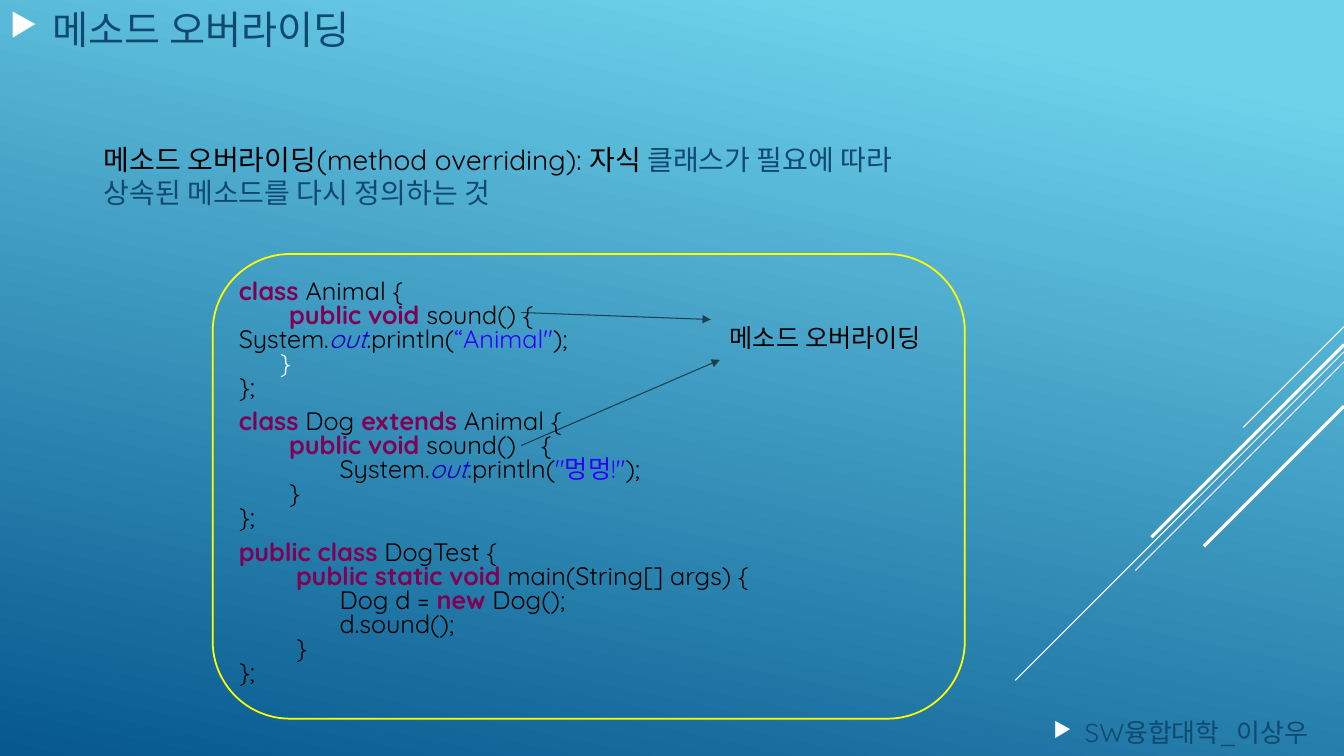
from lxml.etree import SubElement
from pptx import Presentation
from pptx.dml.color import RGBColor
from pptx.enum.shapes import MSO_CONNECTOR as Connector, MSO_SHAPE as Shape
from pptx.enum.text import MSO_ANCHOR as Anchor
from pptx.oxml.ns import qn
from pptx.util import Inches, Pt

COLORS = {
    "white": "FFFFFF", "black": "000000", "navy": "0F496F", "yellow": "FFFF00",
    "keyword": "7F0055", "field": "0000C0", "string": "2A00FF",
    "sky": "6ED2EB", "deep": "06588E",
}
BOLD, ITALIC = {"keyword"}, {"field"}
FONT = "Quicksand"


def rgb(name):
    return RGBColor.from_string(COLORS[name])


def add_xml(parent, tag, **attributes):
    return SubElement(parent, qn(tag), attributes)


class SlideBuilder:
    def __init__(self, slide):
        self.slide = slide

    def background(self, start, end, angle):
        fill = self.slide.background.fill
        fill.gradient()
        fill.gradient_angle = 360 - angle
        for stop, color, position in zip(fill.gradient_stops, (start, end), (0.1, 1)):
            stop.color.rgb = rgb(color)
            stop.position = position

    def text(self, box, paragraphs, size=18, anchor=Anchor.TOP, indent=0,
             bullet=False, tab=None, spacing=None, bottom=0.05):
        """Each paragraph is a list of (words, color) runs."""
        frame = self.slide.shapes.add_textbox(*map(Inches, box)).text_frame
        frame.word_wrap = True
        frame.vertical_anchor = anchor
        frame.margin_bottom = Inches(bottom)
        for index, runs in enumerate(paragraphs):
            paragraph = frame.paragraphs[0] if index == 0 else frame.add_paragraph()
            props = paragraph._p.get_or_add_pPr()
            props.set("marL", str(Inches(indent)))
            props.set("indent", str(-Inches(indent) if bullet else 0))
            if bullet:
                add_xml(add_xml(props, "a:buClr"), "a:srgbClr", val=COLORS["white"])
                add_xml(props, "a:buSzPct", val="80000")
                add_xml(props, "a:buChar", char="▶")
            if tab:
                add_xml(add_xml(props, "a:tabLst"), "a:tab", pos=str(Inches(tab)), algn="l")
            if spacing:
                paragraph.line_spacing = Pt(spacing)
            for words, color in runs:
                run = paragraph.add_run()
                run.text = words
                font = run.font
                font.name, font.size, font.color.rgb = FONT, Pt(size), rgb(color)
                font.bold, font.italic = color in BOLD, color in ITALIC

    def code(self, top, height, lines):
        self.text((1.99, top, 6.67, height), lines, indent=0.28, tab=0.28, spacing=17)

    def line(self, start, end, color, width, alpha=None, arrow=False):
        connector = self.slide.shapes.add_connector(
            Connector.STRAIGHT, *map(Inches, (*start, *end)))
        connector.line.color.rgb = rgb(color)
        connector.line.width = Pt(width)
        outline = connector.line._ln
        if alpha:
            add_xml(outline.find(".//" + qn("a:srgbClr")), "a:alpha", val=str(alpha * 1000))
        if arrow:
            add_xml(outline, "a:tailEnd", type="triangle")
        add_xml(connector._element.spPr, "a:effectLst")

    def frame(self, box, color, width):
        outline = self.slide.shapes.add_shape(Shape.ROUNDED_RECTANGLE, *map(Inches, box))
        outline.shadow.inherit = False
        outline.fill.background()
        outline.line.color.rgb = rgb(color)
        outline.line.width = Pt(width)


ANIMAL = [
    [("class ", "keyword"), ("Animal {", "black")],
    [("\t", "black"), ("public void ", "keyword"), ("sound() {", "black")],
    [("System.", "black"), ("out", "field"), (".println(", "black"),
     ("“Animal\"", "string"), (");", "black")],
    [("      }", "white")],
    [("};", "black")],
]
DOG = [
    [("class", "keyword"), (" Dog ", "black"), ("extends", "keyword"), (" Animal {", "black")],
    [("\t", "black"), ("public void", "keyword"), (" sound()\t{", "black")],
    [("\t\tSystem.", "black"), ("out", "field"), (".println(", "black"),
     ("\"멍멍!\"", "string"), (");", "black")],
    [("\t}", "black")],
    [("};", "black")],
]
DOG_TEST = [
    [("public class", "keyword"), (" DogTest {", "black")],
    [("\t ", "white"), ("public static void ", "keyword"), ("main(String[] args) {", "black")],
    [("\t\tDog d = ", "black"), ("new", "keyword"), (" Dog();", "black")],
    [("\t \td.sound();", "black")],
    [("\t }", "black")],
    [("};", "black")],
]
# Diagonals run down-left at 45 degrees: top at the right edge, run, width
DIAGONALS = [(3.24, 1, 0.75), (3.49, 3.26, 0.75), (3.59, 2.07, 0.75),
             (3.42, 1.91, 2.25), (4.03, 1.39, 2.25)]


def main():
    deck = Presentation()
    deck.slide_width, deck.slide_height = Inches(13.33), Inches(7.5)
    builder = SlideBuilder(deck.slides.add_slide(deck.slide_layouts[6]))
    builder.background("sky", "deep", 102)
    for top, run, width in DIAGONALS:
        builder.line((13.33, top), (13.33 - run, top + run), "white", width)

    builder.text((0, 0, 3.98, 0.58), [[("메소드 오버라이딩", "navy")]], size=28,
                 anchor=Anchor.MIDDLE, indent=0.42, bullet=True)
    builder.text((10.35, 7.03, 2.99, 0.47), [[("SW융합대학_이상우", "navy")]], size=18.5,
                 anchor=Anchor.MIDDLE, indent=0.31, bullet=True)
    builder.text((0.93, 1.26, 8.78, 1.49),
                 [[("메소드 오버라이딩(method overriding): 자식 ", "black"),
                   ("클래스가 필요에 따라 상속된 메소드를 다시 정의하는 것", "navy")]],
                 size=20, anchor=Anchor.MIDDLE, bottom=0.57)

    builder.code(2.75, 1.29, ANIMAL)
    builder.code(4.04, 1.29, DOG)
    builder.code(5.34, 1.53, DOG_TEST)
    for start, end in (((5.17, 3.1), (7.05, 3.17)), ((5.17, 4.42), (7.14, 3.57))):
        builder.line(start, end, "black", 0.75, alpha=60, arrow=True)
    builder.text((7.14, 3.15, 2.37, 0.4), [[("메소드 오버라이딩", "black")]])
    builder.frame((2.11, 2.52, 7.46, 4.61), "yellow", 1.25)
    deck.save("out.pptx")


if __name__ == "__main__":
    main()
